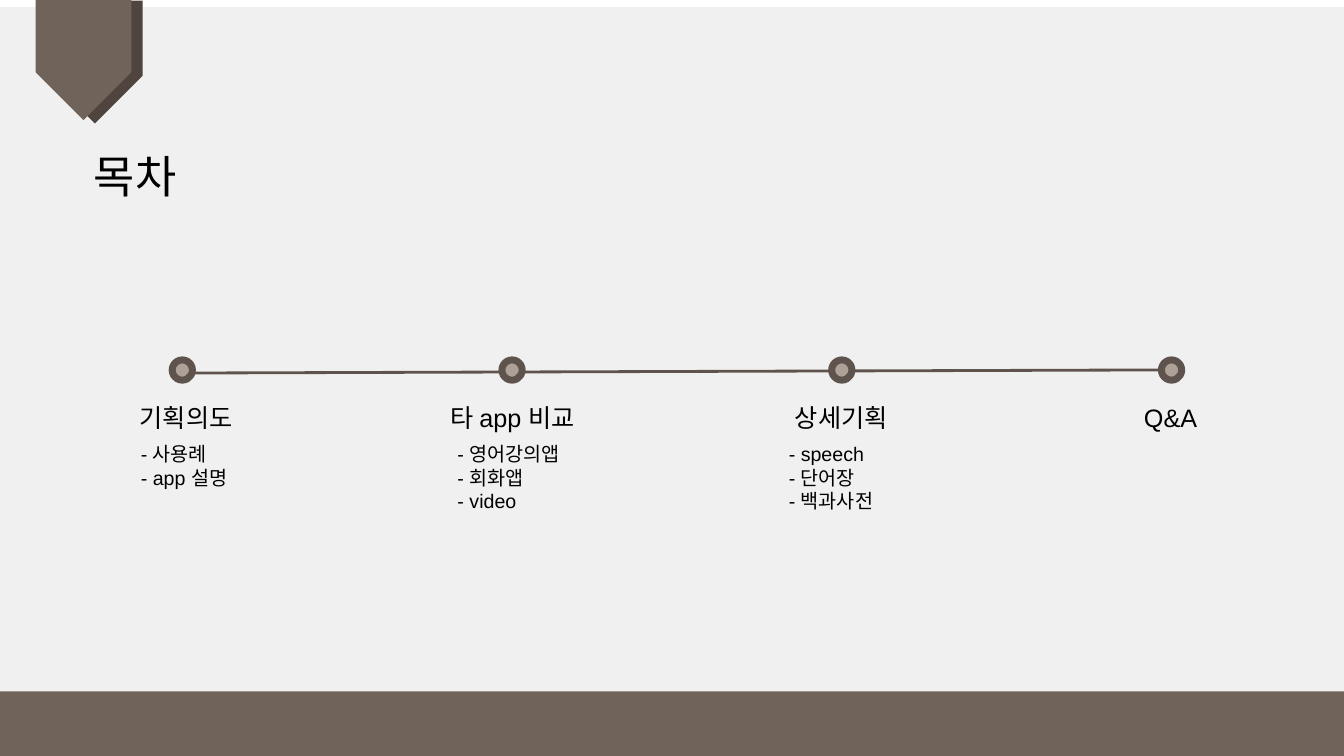
from dataclasses import dataclass

from lxml import etree
from pptx import Presentation
from pptx import util as u
from pptx.dml.color import RGBColor
from pptx.enum import shapes, text
from pptx.oxml import ns


@dataclass(frozen=True)
class Theme:
    font: str = "Arial"
    ink: str = "000000"
    sheet: str = "F0F0F0"
    brown: str = "70635A"
    shade: str = "50453E"
    outline: str = "5F544D"
    dot: str = "AEA198"
    title_size: int = 32
    heading_size: int = 18
    detail_size: int = 14


@dataclass(frozen=True)
class Box:
    left: float
    top: float
    width: float
    height: float

    def lengths(self) -> list[u.Cm]:
        return [u.Cm(value) for value in (self.left, self.top, self.width, self.height)]


@dataclass(frozen=True)
class Stage:
    heading: str
    heading_center: float
    details: tuple[str, ...] = ()
    details_left: float = 0


THEME = Theme()
SLIDE_WIDTH, SLIDE_HEIGHT = 33.87, 19.05
SHEET_TOP, FOOTER_TOP = 0.18, 17.42
MARKER_LEFT, MARKER_TOP, MARKER_SIZE, MARKER_STEP = 4.34, 9.07, 0.51, 8.31
HEADING_TOP, HEADING_WIDTH, HEADING_HEIGHT = 10.01, 5.26, 1.02
DETAILS_TOP, DETAILS_WIDTH, DETAILS_HEIGHT = 11.02, 4.42, 2.4

STAGES = (
    Stage("기획의도", 4.69, ("- 사용례", "- app 설명"), 3.3),
    Stage("타 app 비교", 12.92, ("- 영어강의앱", "- 회화앱", "- video"), 11.28),
    Stage("상세기획", 21.2, ("- speech", "- 단어장", "- 백과사전"), 19.63),
    Stage("Q&A", 29.5),
)


def add_filled(slide, kind: shapes.MSO_SHAPE, box: Box, color: str):
    shape = slide.shapes.add_shape(kind, *box.lengths())
    shape.shadow.inherit = False
    shape.fill.solid()
    shape.fill.fore_color.rgb = RGBColor.from_string(color)
    shape.line.fill.background()
    return shape


def set_outline(line, width: float) -> None:
    line.color.rgb = RGBColor.from_string(THEME.outline)
    line.width = u.Pt(width)


def write(shape, words: str, size: int, alignment: text.PP_ALIGN) -> None:
    frame = shape.text_frame
    frame.text = words
    frame.word_wrap = True
    frame.auto_size = text.MSO_AUTO_SIZE.NONE
    frame.vertical_anchor = text.MSO_ANCHOR.TOP
    for paragraph in frame.paragraphs:
        paragraph.alignment = alignment
        for run in paragraph.runs:
            run.font.name = THEME.font
            run.font.size = u.Pt(size)
            run.font.color.rgb = RGBColor.from_string(THEME.ink)


def add_label(slide, words: str, box: Box, size: int, alignment: text.PP_ALIGN) -> None:
    write(slide.shapes.add_textbox(*box.lengths()), words, size, alignment)


def add_ribbon(slide, box: Box, color: str) -> None:
    ribbon = add_filled(slide, shapes.MSO_SHAPE.PENTAGON, box, color)
    ribbon.adjustments[0] = 0.5
    ribbon.rotation = 90


def add_timeline(slide) -> None:
    ends = [u.Cm(value) for value in (4.67, 9.4, 29.77, 9.32)]
    timeline = slide.shapes.add_connector(shapes.MSO_CONNECTOR.STRAIGHT, *ends)
    set_outline(timeline.line, 2)
    etree.SubElement(timeline._element.spPr, ns.qn("a:effectLst"))


def add_stage(slide, index: int, stage: Stage) -> None:
    marker_box = Box(MARKER_LEFT + index * MARKER_STEP, MARKER_TOP, MARKER_SIZE, MARKER_SIZE)
    marker = add_filled(slide, shapes.MSO_SHAPE.OVAL, marker_box, THEME.dot)
    set_outline(marker.line, 5)
    heading_box = Box(stage.heading_center - HEADING_WIDTH / 2, HEADING_TOP, HEADING_WIDTH, HEADING_HEIGHT)
    add_label(slide, stage.heading, heading_box, THEME.heading_size, text.PP_ALIGN.CENTER)
    if stage.details:
        details_box = Box(stage.details_left, DETAILS_TOP, DETAILS_WIDTH, DETAILS_HEIGHT)
        add_label(slide, "\n".join(stage.details), details_box, THEME.detail_size, text.PP_ALIGN.LEFT)


presentation = Presentation()
presentation.slide_width = u.Cm(SLIDE_WIDTH)
presentation.slide_height = u.Cm(SLIDE_HEIGHT)
slide = presentation.slides.add_slide(presentation.slide_layouts.get_by_name("Title Only"))

# Backdrop and ribbon
sheet_box = Box(0, SHEET_TOP, SLIDE_WIDTH, SLIDE_HEIGHT - SHEET_TOP)
add_filled(slide, shapes.MSO_SHAPE.RECTANGLE, sheet_box, THEME.sheet)
add_ribbon(slide, Box(0.84, 0.36, 3.1, 2.41), THEME.shade)
add_ribbon(slide, Box(0.58, 0.3, 3.05, 2.41), THEME.brown)

# Title, moved in front of the backdrop
title = slide.shapes.title
title.left, title.top, title.width, title.height = Box(0.89, 3.63, 5.03, 1.63).lengths()
write(title, "목차", THEME.title_size, text.PP_ALIGN.CENTER)
slide.shapes._spTree.append(title._element)

# Timeline with its stages
add_timeline(slide)
for index, stage in enumerate(STAGES):
    add_stage(slide, index, stage)

# Footer band
footer_box = Box(0, FOOTER_TOP, SLIDE_WIDTH, SLIDE_HEIGHT - FOOTER_TOP)
add_filled(slide, shapes.MSO_SHAPE.RECTANGLE, footer_box, THEME.brown)

presentation.save("out.pptx")
